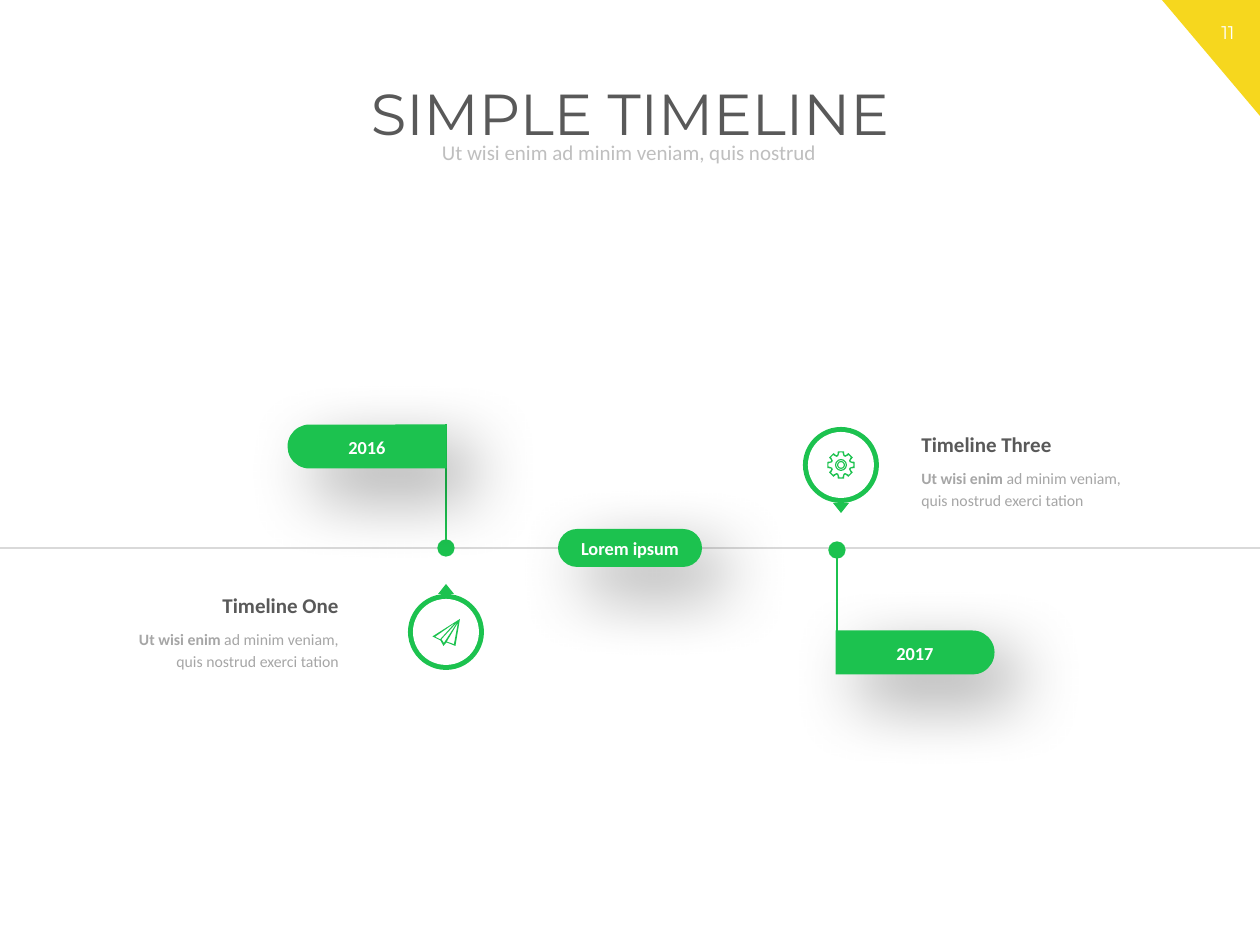
import math

import pptx
import pptx.dml.color
import pptx.enum.shapes
import pptx.enum.text
import pptx.oxml
import pptx.oxml.ns
import pptx.util

EMU_PER_PX = 914400 / 126
SHAPES = pptx.enum.shapes.MSO_SHAPE
ALIGN = pptx.enum.text.PP_ALIGN
ANCHOR = pptx.enum.text.MSO_ANCHOR

GREEN, YELLOW, WHITE = "1CC24F", "F6D71E", "FFFFFF"
DARK, GREY, PALE, RULE = "595959", "A6A6A6", "BFBFBF", "D9D9D9"


def px(length):
    return pptx.util.Emu(round(length * EMU_PER_PX))


def color(hex_text):
    return pptx.dml.color.RGBColor.from_string(hex_text)


def add_xml(parent, tag, attributes="", content=""):
    namespace = pptx.oxml.ns.nsdecls("a")
    parent.append(pptx.oxml.parse_xml(
        f"<a:{tag} {namespace} {attributes}>{content}</a:{tag}>"))


class TimelineSlide:
    """Holds the style and the slide that is being filled."""

    font = "Calibri"
    title_font = "Montserrat"
    accent = GREEN

    def __init__(self, slide):
        self.slide = slide
        self.shapes = slide.shapes

    def set_text(self, frame, runs, size, align, anchor=ANCHOR.TOP,
                 spacing=None, font=None, wrap=True):
        """Fill a frame with one paragraph of (text, colour, bold) runs."""
        frame.word_wrap = wrap
        frame.auto_size = pptx.enum.text.MSO_AUTO_SIZE.NONE
        frame.vertical_anchor = anchor
        paragraph = frame.paragraphs[0]
        paragraph.alignment = align
        if spacing:
            paragraph.line_spacing = spacing
        for text, hex_text, bold in runs:
            run = paragraph.add_run()
            run.text = text
            run.font.name = font or self.font
            run.font.size = pptx.util.Pt(size)
            run.font.bold = bold
            run.font.color.rgb = color(hex_text)

    def title(self, text, left, top, width, height):
        heading = self.shapes.title
        heading.left, heading.top = px(left), px(top)
        heading.width, heading.height = px(width), px(height)
        self.set_text(heading.text_frame, [(text, DARK, False)], 33,
                      ALIGN.CENTER, spacing=0.9, font=self.title_font)

    def text(self, runs, left, top, width, height, size,
             align=ALIGN.CENTER, **style):
        box = self.shapes.add_textbox(px(left), px(top), px(width), px(height))
        self.set_text(box.text_frame, runs, size, align, **style)

    def paint(self, shape, fill):
        shape.fill.solid()
        shape.fill.fore_color.rgb = color(fill)
        shape.line.fill.background()
        shape.shadow.inherit = False

    def shape(self, kind, left, top, width, height, fill=None,
              rotation=0, adjustments=(), shadow=False):
        shape = self.shapes.add_shape(kind, px(left), px(top), px(width), px(height))
        shape.rotation = rotation
        for index, value in enumerate(adjustments):
            shape.adjustments[index] = value
        self.paint(shape, fill or self.accent)
        if shadow:
            effects = shape._element.spPr.find(pptx.oxml.ns.qn("a:effectLst"))
            add_xml(effects, "outerShdw",
                    f'blurRad="{pptx.util.Pt(40)}" dist="{pptx.util.Pt(20)}" '
                    'dir="2700000" algn="tl" rotWithShape="0"',
                    '<a:srgbClr val="000000"><a:alpha val="40000"/></a:srgbClr>')
        return shape

    def line(self, start, end, hex_text, width, dot=False):
        connector = self.shapes.add_connector(
            pptx.enum.shapes.MSO_CONNECTOR.STRAIGHT, *map(px, start + end))
        connector.line.color.rgb = color(hex_text)
        connector.line.width = pptx.util.Pt(width)
        properties = connector._element.spPr
        if dot:
            add_xml(properties.find(pptx.oxml.ns.qn("a:ln")), "tailEnd",
                    'type="oval" w="lg" len="lg"')
        add_xml(properties, "effectLst")

    def outline(self, center, contours):
        """Draw closed contours given in tenths of a px around a centre."""
        placed = [[(10 * center[0] + x, 10 * center[1] + y) for x, y in contour]
                  for contour in contours]
        builder = self.shapes.build_freeform(*placed[0][0], scale=EMU_PER_PX / 10)
        for index, points in enumerate(placed):
            if index:
                builder.move_to(*points[0])
            builder.add_line_segments(points[1:], close=True)
        self.paint(builder.convert_to_shape(), self.accent)

    def flag(self, year, stem_start, stem_end, left, top, rotation):
        """Year flag, 159 by 44, on a stem that ends in a dot on the axis."""
        length, thickness = 159, 44
        self.line(stem_start, stem_end, self.accent, 1.5, dot=True)
        inset = (length - thickness) // 2
        self.shape(SHAPES.ROUND_2_SAME_RECTANGLE, left + inset, top - inset,
                   thickness, length, rotation=rotation,
                   adjustments=(0.5, 0), shadow=True)
        self.text([(year, WHITE, True)], left + 21, top + 6, 116, 35, 10.5)

    def marker(self, center, points_up):
        """Ringed disc with a small pointer towards the axis."""
        x, y = center
        for radius, fill in ((38, self.accent), (33, WHITE)):
            self.shape(SHAPES.OVAL, x - radius, y - radius,
                       2 * radius, 2 * radius, fill)
        self.shape(SHAPES.ISOSCELES_TRIANGLE, x - 8, y - 48 if points_up else y + 38,
                   16, 10, rotation=0 if points_up else 180)

    def caption(self, heading, left, top, heading_left, heading_width, align):
        self.text([(heading, DARK, True)], heading_left, top, heading_width, 38,
                  12, align, wrap=False)
        self.text([("Ut wisi enim ", GREY, True),
                   ("ad minim veniam, quis nostrud exerci tation", GREY, False)],
                  left, top + 35, 251, 59, 9, align, spacing=1.14)


def gear_contour(tip_radius, tip_angle, root_radius, root_angle, teeth=8):
    corners = ((root_radius, -root_angle), (tip_radius, -tip_angle),
               (tip_radius, tip_angle), (root_radius, root_angle))
    contour = []
    for tooth in range(teeth):
        for radius, offset in corners:
            angle = math.radians(360 * tooth / teeth + offset)
            contour.append((radius * math.sin(angle), -radius * math.cos(angle)))
    return contour


PAPER_PLANE = (
    ((140, -130), (-135, 45), (-55, 85), (-25, 140), (5, 105), (95, 140)),
    ((80, 122), (8, 97), (120, -92)),
    ((-45, 73), (118, -103), (-20, 110)),
    ((-108, 48), (92, -92), (-58, 73)),
)
GEAR = (gear_contour(140, 13, 107, 19), gear_contour(126, 7, 92, 17))


def main():
    deck = pptx.Presentation()
    deck.slide_width, deck.slide_height = px(1260), px(945)
    page = TimelineSlide(deck.slides.add_slide(deck.slide_layouts[5]))

    # Page corner and number
    page.shape(SHAPES.RIGHT_TRIANGLE, 1162, 0, 98, 116, YELLOW, rotation=180)
    page.text([("11", WHITE, False)], 1196, 15, 64, 35, 10.5, font=page.title_font)

    # Headings
    page.title("SIMPLE TIMELINE", 72, 79, 1116, 92)
    page.text([("Ut wisi enim ad minim veniam, quis nostrud", PALE, False)],
              175, 137, 908, 33, 12, anchor=ANCHOR.MIDDLE, spacing=0.9)

    # Time axis
    page.line((0, 548), (1260, 548), RULE, 1)

    # First event: flag above, details below
    page.flag("2016", (446, 424), (446, 548), 288, 424, 270)
    page.caption("Timeline One", 100, 586, 207, 144, ALIGN.RIGHT)
    plane_center = (446, 632)
    page.marker(plane_center, points_up=True)
    page.outline(plane_center, PAPER_PLANE)

    # Second event: flag below, details above
    page.flag("2017", (837, 674), (837, 550), 836, 630, 90)
    page.caption("Timeline Three", 909, 425, 909, 158, ALIGN.LEFT)
    gear_center = (841, 465)
    page.marker(gear_center, points_up=False)
    page.outline(gear_center, GEAR)
    for radius, thickness in ((6, 0.1), (4, 0.15)):
        page.shape(SHAPES.DONUT, gear_center[0] - radius, gear_center[1] - radius,
                   2 * radius, 2 * radius, adjustments=(thickness,))

    # Label on the axis
    label = page.shape(SHAPES.ROUNDED_RECTANGLE, 558, 529, 144, 38,
                       adjustments=(0.5,), shadow=True)
    page.set_text(label.text_frame, [("Lorem ipsum", WHITE, True)], 10.5,
                  ALIGN.CENTER, anchor=ANCHOR.MIDDLE)

    deck.save("out.pptx")


if __name__ == "__main__":
    main()
